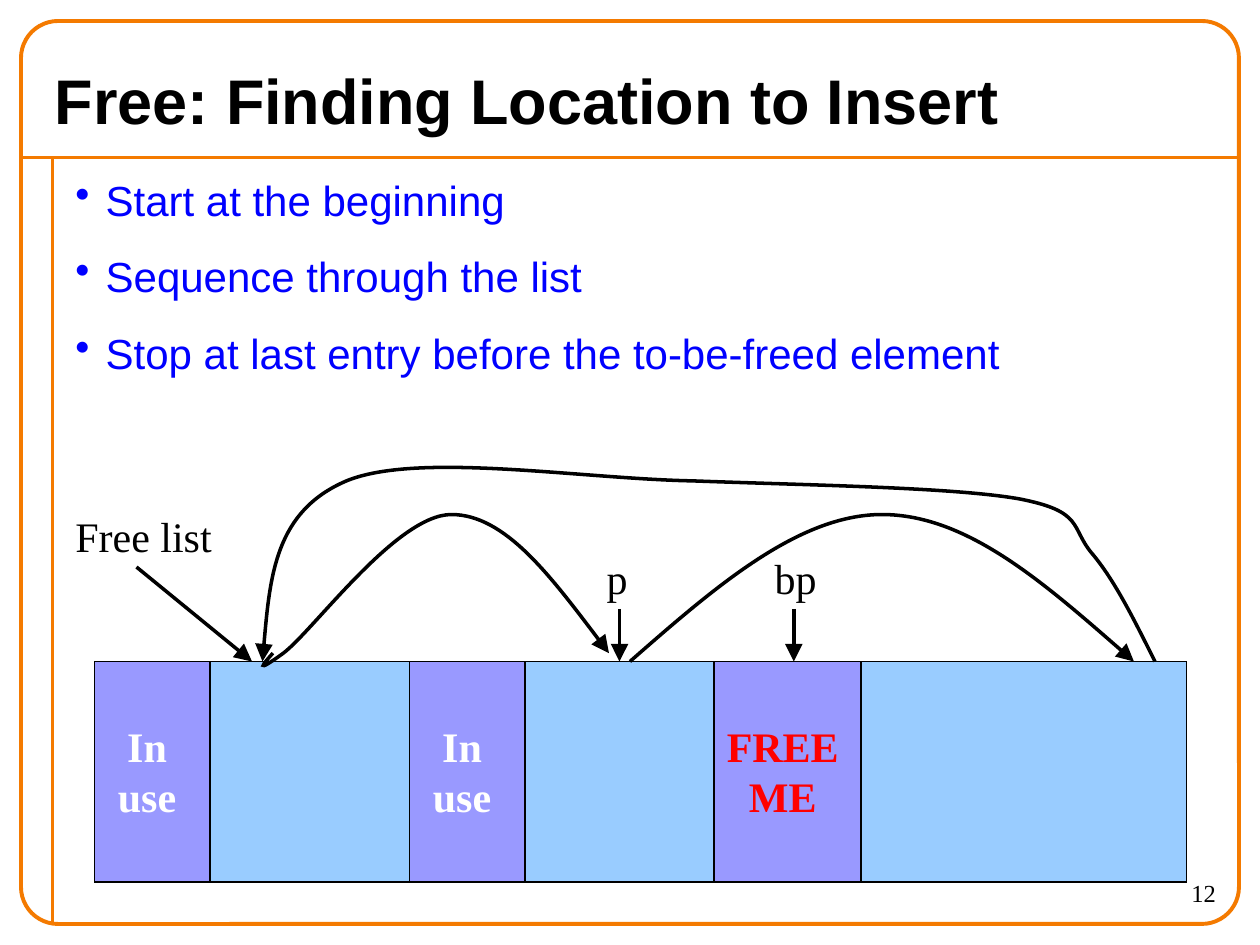
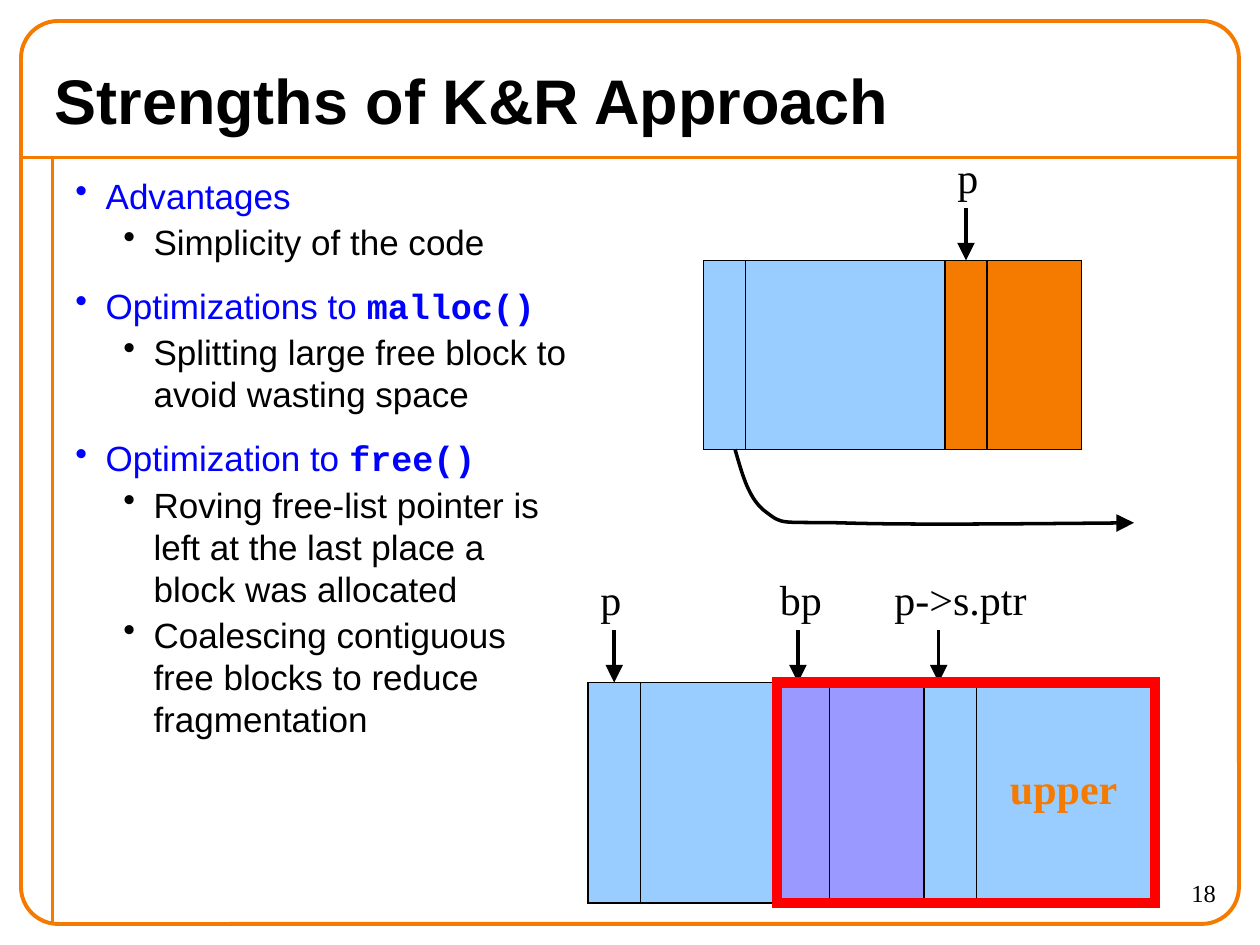
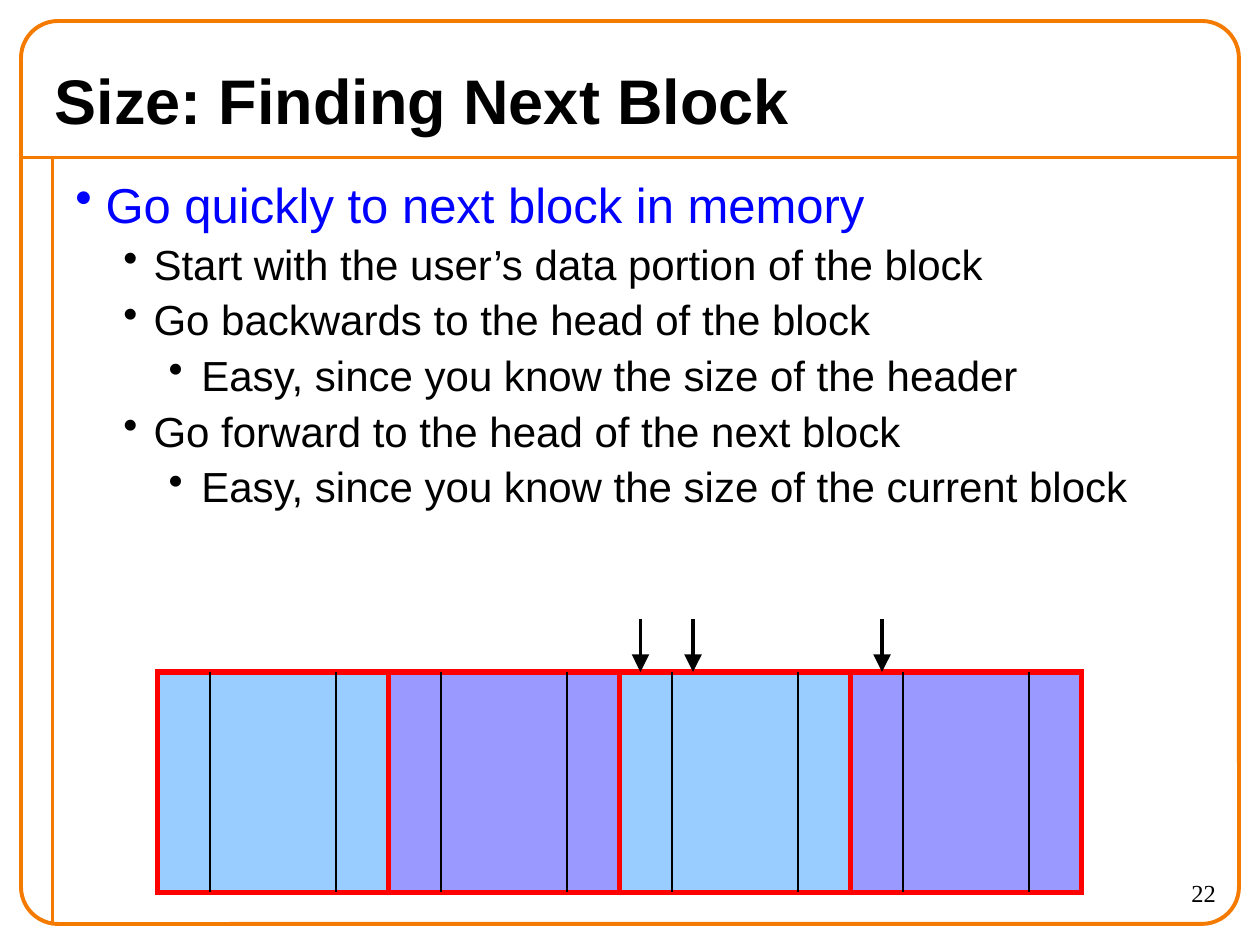
from dataclasses import dataclass
from typing import Optional

import lxml.etree
import pptx
import pptx.dml.color
import pptx.enum.shapes
import pptx.enum.text
import pptx.oxml
import pptx.oxml.ns
import pptx.util

RGBColor = pptx.dml.color.RGBColor
Shape = pptx.enum.shapes.MSO_SHAPE
Align = pptx.enum.text.PP_ALIGN
Anchor = pptx.enum.text.MSO_ANCHOR
Fit = pptx.enum.text.MSO_AUTO_SIZE
qn = pptx.oxml.ns.qn

BLACK = RGBColor(0x00, 0x00, 0x00)
WHITE = RGBColor(0xFF, 0xFF, 0xFF)
ORANGE = RGBColor(0xF4, 0x7A, 0x00)
BLUE = RGBColor(0x00, 0x00, 0xFF)
RED = RGBColor(0xFF, 0x00, 0x00)
SKY = RGBColor(0x99, 0xCC, 0xFF)
LILAC = RGBColor(0x99, 0x99, 0xFF)

SANS, SERIF, MONO = "Arial", "Times New Roman", "Courier New"
WIDE, HIGH = pptx.util.Inches(10), pptx.util.Inches(7.5)
COLS = 120
INDENTS = [(0.24, -0.24), (0.62, -0.24), (1, -0.26)]

Point = tuple[float, float]


@dataclass
class Box:
    col: float
    row: float
    cols: float
    rows: float


@dataclass
class Block:
    box: Box
    fill: Optional[RGBColor] = SKY
    line: RGBColor = BLACK
    width: float = 0.75


@dataclass
class Label:
    text: str
    box: Box
    color: RGBColor = BLACK
    bold: bool = False
    align: Align = Align.LEFT


@dataclass
class Item:
    text: str
    level: int = 0
    size: float = 24
    code: str = ""


def cell(count: float) -> int:
    return round(WIDE * count / COLS)


def place(box: Box) -> list[int]:
    return [cell(n) for n in (box.col, box.row, box.cols, box.rows)]


def style(font, face: str, size: float, color: RGBColor, bold: bool = False) -> None:
    font.name, font.size, font.bold = face, pptx.util.Pt(size), bold
    font.color.rgb = color


def stroke(shape, color: RGBColor, width: float, arrow: bool = False) -> None:
    shape.line.color.rgb = color
    shape.line.width = pptx.util.Pt(width)
    line = shape.line._get_or_add_ln()
    lxml.etree.SubElement(line, qn("a:miter"), lim="800000")
    if arrow:
        lxml.etree.SubElement(line, qn("a:tailEnd"), type="triangle", w="lg", len="lg")


def draw_block(slide, block: Block, kind: Shape = Shape.RECTANGLE):
    shape = slide.shapes.add_shape(kind, *place(block.box))
    shape.shadow.inherit = False
    if block.fill is None:
        shape.fill.background()
    else:
        shape.fill.solid()
        shape.fill.fore_color.rgb = block.fill
    stroke(shape, block.line, block.width)
    return shape


def draw_line(slide, start: Point, end: Point, color: RGBColor = BLACK,
              width: float = 2, arrow: bool = True, target=None) -> None:
    ends = [cell(n) for n in (*start, *end)]
    line = slide.shapes.add_connector(pptx.enum.shapes.MSO_CONNECTOR.STRAIGHT, *ends)
    if target is not None:
        line.end_connect(target, 0)
    stroke(line, color, width, arrow)
    lxml.etree.SubElement(line._element.spPr, qn("a:effectLst"))


def draw_drop(slide, col: float, row: float, target=None) -> None:
    draw_line(slide, (col, row - 5), (col, row), target=target)


def draw_curve(slide, points: list[Point]) -> None:
    spots = [(cell(x), cell(y)) for x, y in points]
    pen = slide.shapes.build_freeform(*spots[0])
    pen.add_line_segments(spots[1:], close=False)
    shape = pen.convert_to_shape()
    shape.shadow.inherit = False
    shape.fill.background()
    stroke(shape, BLACK, 2, arrow=True)
    steps = list(shape._element.iter(qn("a:lnTo")))
    route = steps[0].getparent()
    for first in range(0, len(steps), 3):
        bend = lxml.etree.SubElement(route, qn("a:cubicBezTo"))
        for step in steps[first:first + 3]:
            bend.append(step[0])
            route.remove(step)


def draw_label(slide, label: Label, size: float = 24, wrap: bool = False) -> None:
    frame = slide.shapes.add_textbox(*place(label.box)).text_frame
    frame.word_wrap = wrap
    frame.auto_size = Fit.NONE if wrap else Fit.SHAPE_TO_FIT_TEXT
    frame.text = label.text
    for para in frame.paragraphs:
        para.alignment = label.align
        for run in para.runs:
            style(run.font, SERIF, size, label.color, label.bold)


def draw_list(slide, box: Box, items: list[Item]) -> None:
    frame = slide.shapes.add_textbox(*place(box)).text_frame
    frame.word_wrap = True
    for index, item in enumerate(items):
        para = frame.add_paragraph() if index else frame.paragraphs[0]
        para.text = item.text
        para.level = item.level
        color = BLACK if item.level else BLUE
        if index:
            para.space_before = pptx.util.Pt(item.size * (0.125 if item.level else 0.625))
        props = para._p.get_or_add_pPr()
        left, hang = INDENTS[item.level]
        props.set("marL", str(pptx.util.Inches(left)))
        props.set("indent", str(pptx.util.Inches(hang)))
        tint = lxml.etree.SubElement(props, qn("a:buClr"))
        lxml.etree.SubElement(tint, qn("a:srgbClr"), val=str(color))
        lxml.etree.SubElement(props, qn("a:buChar"), char="•")
        style(para.runs[0].font, SANS, item.size, color)
        if item.code:
            run = para.add_run()
            run.text = item.code
            style(run.font, MONO, item.size, color, True)


def start_slide(deck, title: str, number: int):
    slide = deck.slides.add_slide(deck.slide_layouts[5])
    draw_line(slide, (2, 15), (118, 15), ORANGE, 2.25, False)
    draw_line(slide, (5, 15), (5, 88), ORANGE, 2.25, False)
    border = draw_block(slide, Block(Box(2, 2, 116, 86), None, ORANGE, 2.25),
                        Shape.ROUNDED_RECTANGLE)
    border.adjustments[0] = 0.041
    draw_label(slide, Label(str(number), Box(105, 83, 12, 5), align=Align.RIGHT), 14, True)
    head = slide.shapes.title
    head.left, head.top, head.width, head.height = place(Box(4, 5, 112, 9))
    frame = head.text_frame
    frame.text = title
    frame.vertical_anchor = Anchor.MIDDLE
    frame.paragraphs[0].alignment = Align.LEFT
    style(frame.paragraphs[0].runs[0].font, SANS, 36, BLACK, True)
    return slide


def build_insert(deck) -> None:
    slide = start_slide(deck, "Free: Finding Location to Insert", 12)
    draw_list(slide, Box(6, 16, 111, 30), [
        Item("Start at the beginning"),
        Item("Sequence through the list"),
        Item("Stop at last entry before the to-be-freed element"),
    ])
    top, tall = 63, 21
    draw_block(slide, Block(Box(9, top, 104, tall)))
    for col in (9, 39):
        draw_block(slide, Block(Box(col, top, 11, tall), LILAC))
        draw_label(slide, Label("In\nuse", Box(col + 0.5, 68, 9, 10.8), WHITE, True, Align.CENTER))
    prior = draw_block(slide, Block(Box(50, top, 18, tall)))
    draw_block(slide, Block(Box(68, top, 14, tall), LILAC))
    for label in (
        Label("FREE\nME", Box(68, 68, 13.1, 10.8), RED, True, Align.CENTER),
        Label("Free list", Box(6, 48, 15.4, 6)),
        Label("bp", Box(72.6, 52, 6.4, 6)),
        Label("p", Box(56.6, 52, 4.3, 6)),
    ):
        draw_label(slide, label)
    draw_line(slide, (13, 54), (24, top))
    draw_drop(slide, 75.6, top)
    draw_drop(slide, 59, top, prior)
    draw_curve(slide, [(26, 62.2), (25.1, 63.2), (24.1, 64.3), (27, 62.2), (29.9, 60),
                       (37.8, 49), (43, 49), (48.1, 49), (53, 55.6), (58, 62.2)])
    draw_curve(slide, [(60, 63), (68, 56), (76, 49), (84, 49), (92, 49), (100, 56), (108, 63)])
    draw_curve(slide, [(110, 63), (108.1, 59.2), (106.2, 55.3), (104, 52.7), (101.9, 50.2),
                       (103.3, 48.7), (97, 47.5), (90.7, 46.4), (76.7, 46.2), (66, 45.8),
                       (55.3, 45.6), (39.8, 43), (33, 45.8), (26.2, 48.7), (25.6, 55.8), (25, 63)])


def build_strengths(deck) -> None:
    slide = start_slide(deck, "Strengths of K&R Approach", 18)
    draw_list(slide, Box(6, 16, 50, 72), [
        Item("Advantages", 0, 20),
        Item("Simplicity of the code", 1, 20),
        Item("Optimizations to ", 0, 20, "malloc()"),
        Item("Splitting large free block to avoid wasting space", 1, 20),
        Item("Optimization to ", 0, 20, "free()"),
        Item("Roving free-list pointer is left at the last place a block was allocated", 1, 20),
        Item("Coalescing contiguous free blocks to reduce fragmentation", 1, 20),
    ])
    top, tall = 24.8, 18
    draw_block(slide, Block(Box(67, top, 36, tall)))
    draw_block(slide, Block(Box(67, top, 4, tall)))
    header = draw_block(slide, Block(Box(90, top, 4, tall), ORANGE))
    draw_block(slide, Block(Box(94, top, 9, tall), ORANGE))
    draw_drop(slide, 92, top, header)
    draw_curve(slide, [(70, 42.8), (70.7, 45.2), (71.3, 47.6), (73, 48.8), (74.6, 50),
                       (74.2, 49.7), (80, 49.8), (85.8, 50), (97, 49.9), (108, 49.8)])

    top, tall = 65, 21
    heads = []
    for col, cols, fill in ((88, 22, SKY), (74, 14, LILAC), (56, 18, SKY)):
        draw_block(slide, Block(Box(col, top, cols, tall), fill))
        heads.append(draw_block(slide, Block(Box(col, top, 5, tall), fill)))
    draw_drop(slide, 76, top)
    draw_drop(slide, 58.5, top, heads[-1])
    draw_drop(slide, 89.4, top)
    for label in (
        Label("p", Box(90, 13.8, 4.3, 6)),
        Label("p", Box(56, 54, 4.3, 6)),
        Label("bp", Box(73.1, 54, 6.4, 6)),
        Label("p->s.ptr", Box(84, 54, 15, 6)),
        Label("upper", Box(95, 72, 12.6, 6), ORANGE, True, Align.CENTER),
    ):
        draw_label(slide, label)
    draw_block(slide, Block(Box(74, top, 36, tall), None, RED, 6))


def build_size(deck) -> None:
    slide = start_slide(deck, "Size: Finding Next Block", 22)
    draw_list(slide, Box(6, 16, 111, 39), [
        Item("Go quickly to next block in memory", 0, 28),
        Item("Start with the user’s data portion of the block", 1),
        Item("Go backwards to the head of the block", 1),
        Item("Easy, since you know the size of the header", 2),
        Item("Go forward to the head of the next block", 1),
        Item("Easy, since you know the size of the current block", 2),
    ])
    top, tall, wide = 64, 21, 22
    lefts = [15 + wide * index for index in range(4)]
    for left, fill in zip(lefts, (SKY, LILAC) * 2):
        draw_block(slide, Block(Box(left, top, wide, tall), fill, RED, 3))
    for left in lefts:
        for col in (left + 5, left + 17):
            draw_line(slide, (col, top), (col, top + tall), width=0.75, arrow=False)
    for col in (66, 61, 84):
        draw_drop(slide, col, top)


def main() -> None:
    deck = pptx.Presentation()
    deck.slide_width, deck.slide_height = WIDE, HIGH
    build_insert(deck)
    build_strengths(deck)
    build_size(deck)
    deck.save("out.pptx")


if __name__ == "__main__":
    main()
